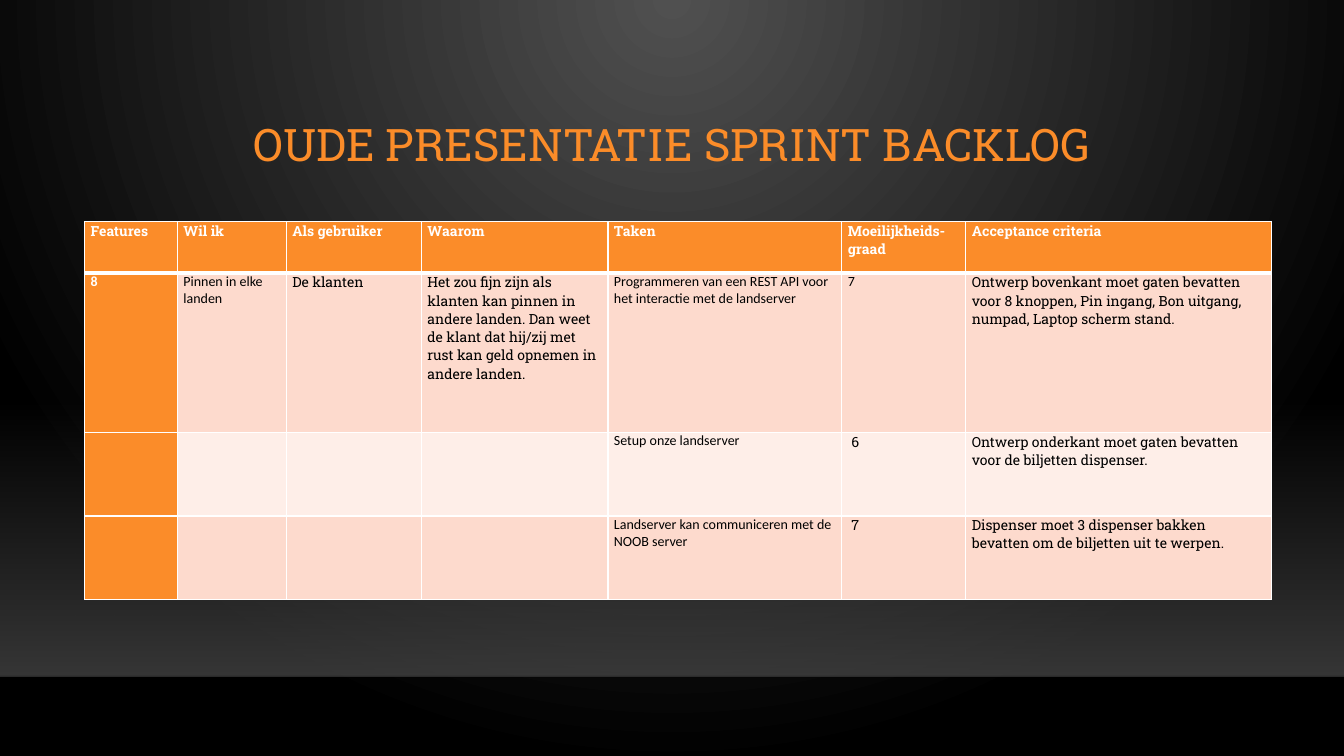
import pptx
import pptx.dml.color
import pptx.enum.shapes
import pptx.enum.text
import pptx.oxml
import pptx.oxml.ns
import pptx.util

RGBColor = pptx.dml.color.RGBColor
Inches = pptx.util.Inches
Pt = pptx.util.Pt

HEADING = "OUDE PRESENTATIE SPRINT BACKLOG"
BACKLOG = [
    ["Features", "Wil ik", "Als gebruiker", "Waarom", "Taken",
     "Moeilijkheids-graad", "Acceptance criteria"],
    ["8", "Pinnen in elke landen", "De klanten",
     "Het zou fijn zijn als klanten kan pinnen in andere landen. "
     "Dan weet de klant dat hij/zij met rust kan geld opnemen in andere landen.",
     "Programmeren van een REST API voor het interactie met de landserver", "7",
     "Ontwerp bovenkant moet gaten bevatten voor 8 knoppen, Pin ingang, "
     "Bon uitgang, numpad, Laptop scherm stand."],
    ["", "", "", "", "Setup onze landserver", " 6",
     "Ontwerp onderkant moet gaten bevatten voor de biljetten dispenser."],
    ["", "", "", "", "Landserver kan communiceren met de NOOB server", " 7",
     "Dispenser moet 3 dispenser bakken bevatten om de biljetten uit te werpen."],
]
COLUMN_WIDTHS = [0.92, 1.08, 1.34, 1.85, 2.32, 1.23, 3.03]
ROW_HEIGHTS = [0.51, 1.58, 0.83, 0.83]
CALIBRI_CELLS = {(1, 0), (1, 1), (1, 4), (1, 5), (2, 4), (3, 4)}

ORANGE = RGBColor(0xFB, 0x8C, 0x29)
PINK = RGBColor(0xFD, 0xDA, 0xCD)
PALE_PINK = RGBColor(0xFE, 0xEE, 0xE8)
WHITE = RGBColor(0xFF, 0xFF, 0xFF)
BLACK = RGBColor(0, 0, 0)
GREY = RGBColor(0x50, 0x50, 0x50)
FLOOR_GREY = RGBColor(0x45, 0x45, 0x45)
EDGE_BLACK = RGBColor(0, 0, 1)

SERIF, SANS = "Roboto Slab", "Calibri"
WIDTH, HEIGHT = 13.33, 7.5
FLOOR_TOP, FLOOR_BOTTOM = 3.96, 6.71


def apply(target, formats):
    for key, value in formats.items():
        setattr(target, key, value)


def xml(tag, inner="", **attributes):
    listed = "".join(f' {key}="{value}"' for key, value in attributes.items())
    return pptx.oxml.parse_xml(
        f'<a:{tag} {pptx.oxml.ns.nsdecls("a")}{listed}>{inner}</a:{tag}>')


def gradient(fill, colours):
    fill.gradient()
    for stop, colour in zip(fill.gradient_stops, colours):
        stop.color.rgb = colour


def set_opacity(element, percents):
    for colour, percent in zip(element.xpath(".//p:spPr//a:srgbClr"), percents):
        colour.append(xml("alpha", val=percent * 1000))


def border(cell, row):
    weights = {"L": 1, "R": 1, "T": 3 if row == 1 else 1, "B": 3 if row == 0 else 1}
    properties = cell._tc.get_or_add_tcPr()
    for position, (side, weight) in enumerate(weights.items()):
        properties.insert(position, xml(
            f"ln{side}", f'<a:solidFill><a:srgbClr val="{WHITE}"/></a:solidFill>',
            w=Pt(weight)))


def draw_backdrop(slide):
    gradient(slide.background.fill, [GREY, BLACK])
    direction = slide._element.xpath("./p:cSld/p:bg//a:lin")[0]
    direction.getparent().replace(direction, xml(
        "path", '<a:fillToRect l="43000" t="0" r="43000" b="100000"/>', path="circle"))

    floor = slide.shapes.add_shape(
        pptx.enum.shapes.MSO_SHAPE.RECTANGLE, 0, Inches(FLOOR_TOP),
        Inches(WIDTH), Inches(FLOOR_BOTTOM - FLOOR_TOP))
    floor.shadow.inherit = False
    floor.line.fill.background()
    gradient(floor.fill, [FLOOR_GREY, FLOOR_GREY])
    floor.fill.gradient_angle = 270
    set_opacity(floor._element, [0, 80])

    edge = slide.shapes.add_connector(
        pptx.enum.shapes.MSO_CONNECTOR.STRAIGHT, 0, Inches(FLOOR_BOTTOM),
        Inches(WIDTH), Inches(FLOOR_BOTTOM))
    edge.line.color.rgb = EDGE_BLACK
    edge.line.width = Pt(1)
    set_opacity(edge._element, [20])
    edge._element.spPr.append(xml("effectLst"))


def draw_heading(slide):
    heading = slide.shapes.add_textbox(
        Inches(1.59), Inches(0.88), Inches(10.16), Inches(1.15))
    apply(heading.text_frame, {
        "word_wrap": True, "text": HEADING,
        "vertical_anchor": pptx.enum.text.MSO_ANCHOR.MIDDLE})
    line = heading.text_frame.paragraphs[0]
    apply(line, {"alignment": pptx.enum.text.PP_ALIGN.CENTER, "line_spacing": 0.9})
    apply(line.font, {"name": SERIF, "size": Pt(32)})
    line.font.color.rgb = ORANGE


def draw_backlog(slide):
    backlog = slide.shapes.add_table(
        len(ROW_HEIGHTS), len(COLUMN_WIDTHS), Inches(0.84), Inches(2.2),
        Inches(sum(COLUMN_WIDTHS)), Inches(sum(ROW_HEIGHTS))).table
    for column, width in zip(backlog.columns, COLUMN_WIDTHS):
        column.width = Inches(width)
    for row, (words, height) in enumerate(zip(BACKLOG, ROW_HEIGHTS)):
        backlog.rows[row].height = Inches(height)
        for column, wording in enumerate(words):
            cell = backlog.cell(row, column)
            leading = row == 0 or column == 0
            apply(cell, {"text": wording, "margin_left": Inches(0.06),
                         "margin_right": Inches(0.06), "margin_top": 0,
                         "margin_bottom": 0})
            cell.fill.solid()
            cell.fill.fore_color.rgb = (
                ORANGE if leading else PINK if row % 2 else PALE_PINK)
            border(cell, row)
            font = cell.text_frame.paragraphs[0].font
            apply(font, {"name": SANS if (row, column) in CALIBRI_CELLS else SERIF,
                         "size": Pt(10), "bold": leading})
            font.color.rgb = WHITE if leading else BLACK


def main():
    deck = pptx.Presentation()
    apply(deck, {"slide_width": Inches(WIDTH), "slide_height": Inches(HEIGHT)})
    slide = deck.slides.add_slide(deck.slide_layouts[6])
    draw_backdrop(slide)
    draw_heading(slide)
    draw_backlog(slide)
    deck.save("out.pptx")


if __name__ == "__main__":
    main()
